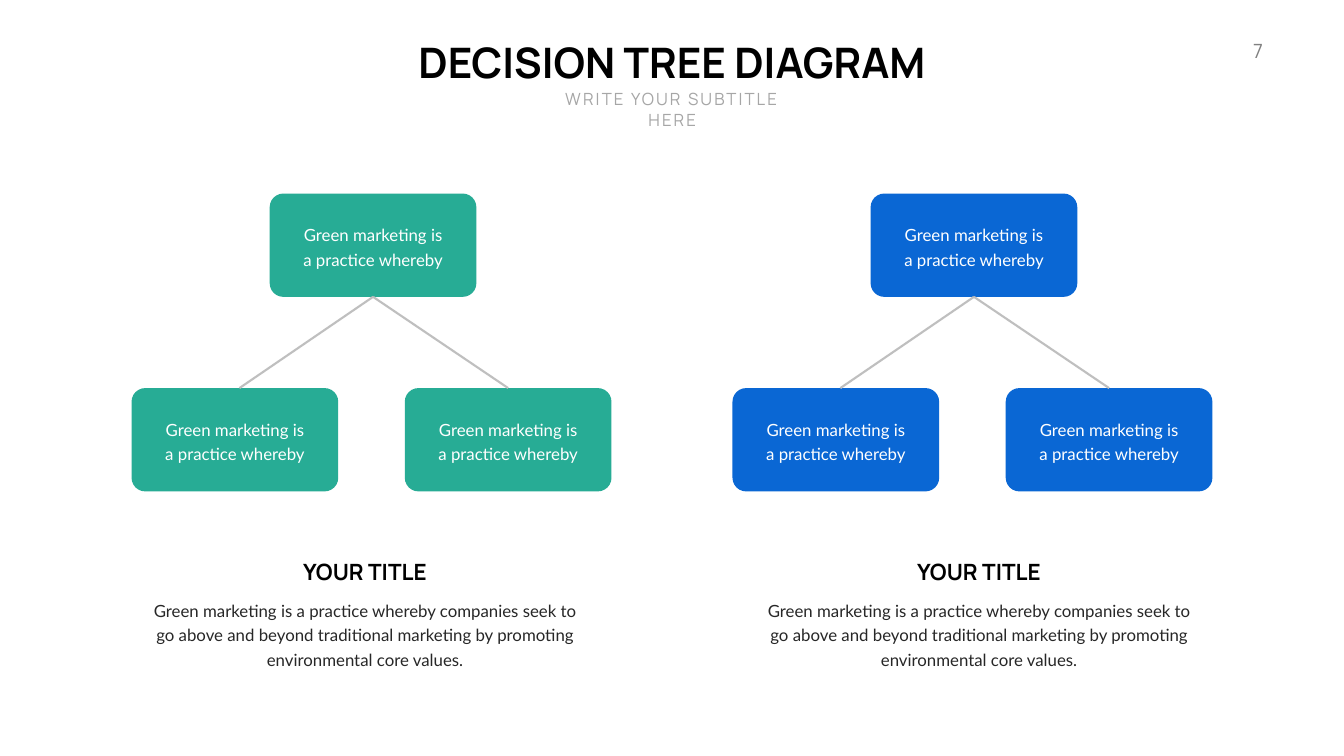
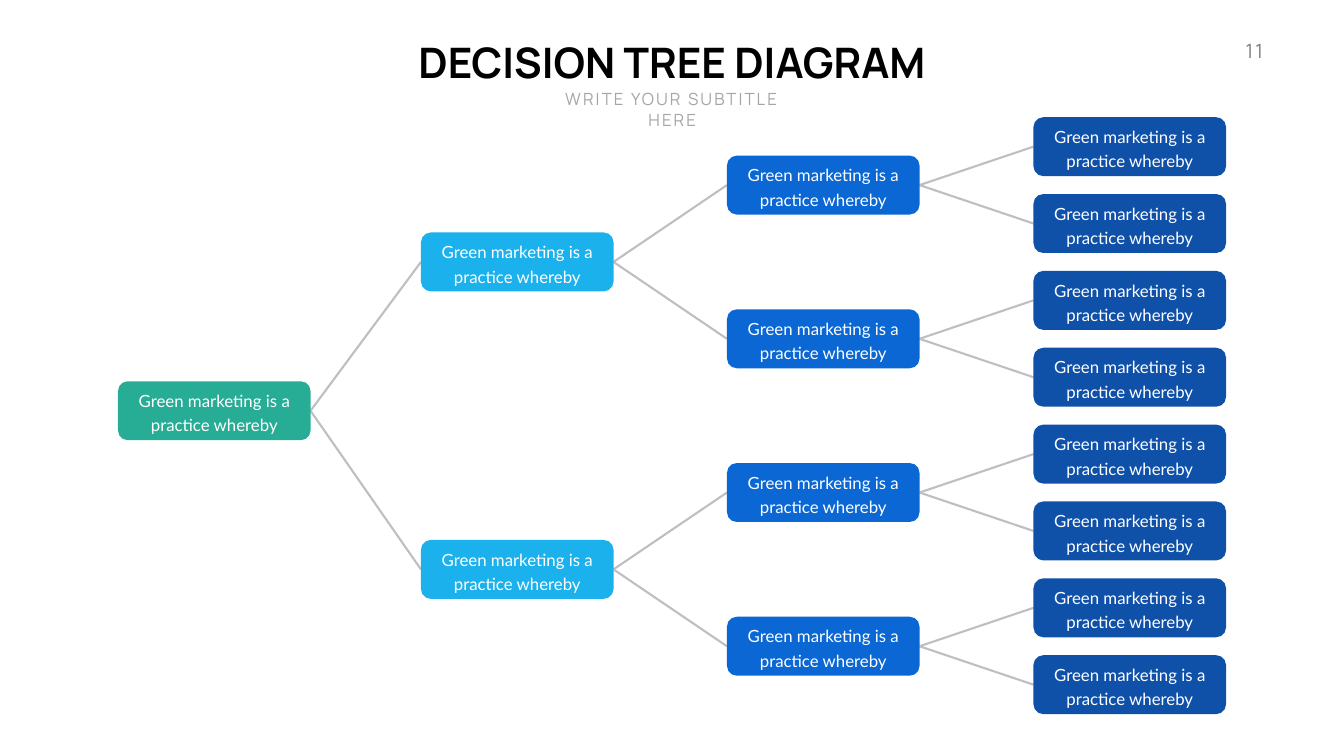
from pptx import Presentation
from pptx import util as u
from pptx.dml.color import RGBColor
from pptx.enum import shapes, text
from lxml import etree

COLORS = {
    "title": "000000", "subtitle": "A6A6A6", "number": "808080", "body": "272727",
    "label": "FFFFFF", "line": "BFBFBF", "green": "27AC95", "sky": "1BB1EC",
    "blue": "0A67D4", "navy": "0F51A9",
}
A, C, R = "Manrope", text.PP_ALIGN.CENTER, text.PP_ALIGN.RIGHT
BODY_PARA = {"alignment": C, "line_spacing": u.Pt(35), "space_before": u.Pt(4.8)}
STYLES = {
    "title": {"font": {"name": A, "size": u.Pt(60), "bold": True}, "para": {"alignment": C}},
    "subtitle": {"font": {"name": A, "size": u.Pt(24)}, "para": {"alignment": C}, "spc": 3},
    "number": {"font": {"name": A, "size": u.Pt(28)}, "para": {"alignment": R}, "spc": 3},
    "heading": {"font": {"name": A, "size": u.Pt(32), "bold": True}, "para": {"alignment": C},
                "color": "title"},
    "body": {"font": {"name": "Lato", "size": u.Pt(24)}, "para": BODY_PARA},
    "label": {"font": {"name": "Lato", "size": u.Pt(24)}, "para": BODY_PARA},
}
LABEL = "Green marketing is a practice whereby"
CAPTION = (LABEL + " companies seek to go above and beyond traditional marketing"
           " by promoting environmental core values.")


def rgb(name):
    return RGBColor.from_string(COLORS[name])


def set_all(obj, values):
    for key, value in values.items():
        setattr(obj, key, value)


def add_text(s, box, words, style, wrap=False, inset=(0.1, 0.05),
             anchor=text.MSO_ANCHOR.TOP):
    fmt = STYLES[style]
    tf = s.shapes.add_textbox(*map(u.Inches, box)).text_frame
    dx, dy = map(u.Inches, inset)
    set_all(tf, {"word_wrap": wrap, "auto_size": text.MSO_AUTO_SIZE.SHAPE_TO_FIT_TEXT,
                 "vertical_anchor": anchor, "margin_left": dx, "margin_right": dx,
                 "margin_top": dy, "margin_bottom": dy})
    p = tf.paragraphs[0]
    set_all(p, fmt["para"])
    r = p.add_run()
    r.text = words
    set_all(r.font, fmt["font"])
    r.font.color.rgb = rgb(fmt.get("color", style))
    if "spc" in fmt:
        r._r.get_or_add_rPr().set("spc", str(fmt["spc"] * 100))


def add_node(s, left, mid, size, color, radius, label_width):
    """Rounded box with its label, centred vertically on mid."""
    w, h = size
    sp = s.shapes.add_shape(shapes.MSO_SHAPE.ROUNDED_RECTANGLE,
                            *map(u.Inches, (left, mid - h / 2, w, h)))
    sp.adjustments[0] = radius
    sp.shadow.inherit = False
    sp.fill.solid()
    sp.fill.fore_color.rgb = rgb(color)
    sp.line.fill.background()
    add_text(s, (left + (w - label_width) / 2, mid - 0.515, label_width, 1.03), LABEL,
             "label", wrap=True, anchor=text.MSO_ANCHOR.MIDDLE)


def add_branch(s, start, end):
    ln = s.shapes.add_connector(shapes.MSO_CONNECTOR.STRAIGHT,
                                *map(u.Inches, (*start, *end)))
    ln.line.color.rgb = rgb("line")
    ln.line.width = u.Pt(3)
    sp_pr = ln._element.spPr
    etree.SubElement(sp_pr, sp_pr.nsmap["a"].join("{}") + "effectLst")


def add_slide(prs, number):
    s = prs.slides.add_slide(prs.slide_layouts[6])
    add_text(s, (24.27, 0.72, 0.88, 0.57), str(number), "number")
    add_text(s, (8.03, 0.67, 10.6, 1.11), "DECISION TREE DIAGRAM", "title")
    add_text(s, (10.62, 1.72, 5.43, 0.5), "WRITE YOUR SUBTITLE HERE", "subtitle", wrap=True)
    return s


def add_small_tree(s, left, color):
    """One parent above two children."""
    size, root_mid, child_mid = (4.1, 2.05), 4.865, 8.725
    for dx, mid in ((2.74, root_mid), (0, child_mid), (5.42, child_mid)):
        add_node(s, left + dx, mid, size, color, 0.132, 3.11)
    center = left + 4.79
    for dx in (-2.65, 2.68):
        add_branch(s, (center, 5.89), (center + dx, 7.7))


def add_caption(s, center):
    add_text(s, (center - 1.34, 11.03, 2.68, 0.64), "YOUR TITLE", "heading")
    add_text(s, (center - 4.43, 11.71, 8.86, 1.66), CAPTION, "body", wrap=True,
             inset=(0.24, 0.12))


def add_wide_tree(s):
    """Four levels from left to right; each parent sits midway between its children."""
    size = (3.82, 1.17)
    columns = [(2.34, "green"), (8.35, "sky"), (14.42, "blue"), (20.5, "navy")]
    levels = [[2.91 + 1.525 * i for i in range(8)]]
    while len(levels[0]) > 1:
        mids = levels[0]
        levels.insert(0, [(a + b) / 2 for a, b in zip(mids[::2], mids[1::2])])
    levels[0] = [8.15]  # the root sits slightly above the middle

    for depth in range(3):
        right, next_left = columns[depth][0] + size[0], columns[depth + 1][0]
        for i, mid in enumerate(levels[depth + 1]):
            add_branch(s, (right, levels[depth][i // 2]), (next_left, mid))
    for (left, color), mids in zip(columns, levels):
        for mid in mids:
            add_node(s, left, mid, size, color, 0.167, 3.52)


def main():
    prs = Presentation()
    prs.slide_width, prs.slide_height = u.Inches(26.66), u.Inches(15)

    # Two small trees with captions
    s = add_slide(prs, 7)
    for left, color, center in ((2.61, "green", 7.24), (14.53, "blue", 19.42)):
        add_small_tree(s, left, color)
        add_caption(s, center)

    # One four-level tree
    add_wide_tree(add_slide(prs, 11))

    prs.save("out.pptx")


if __name__ == "__main__":
    main()
